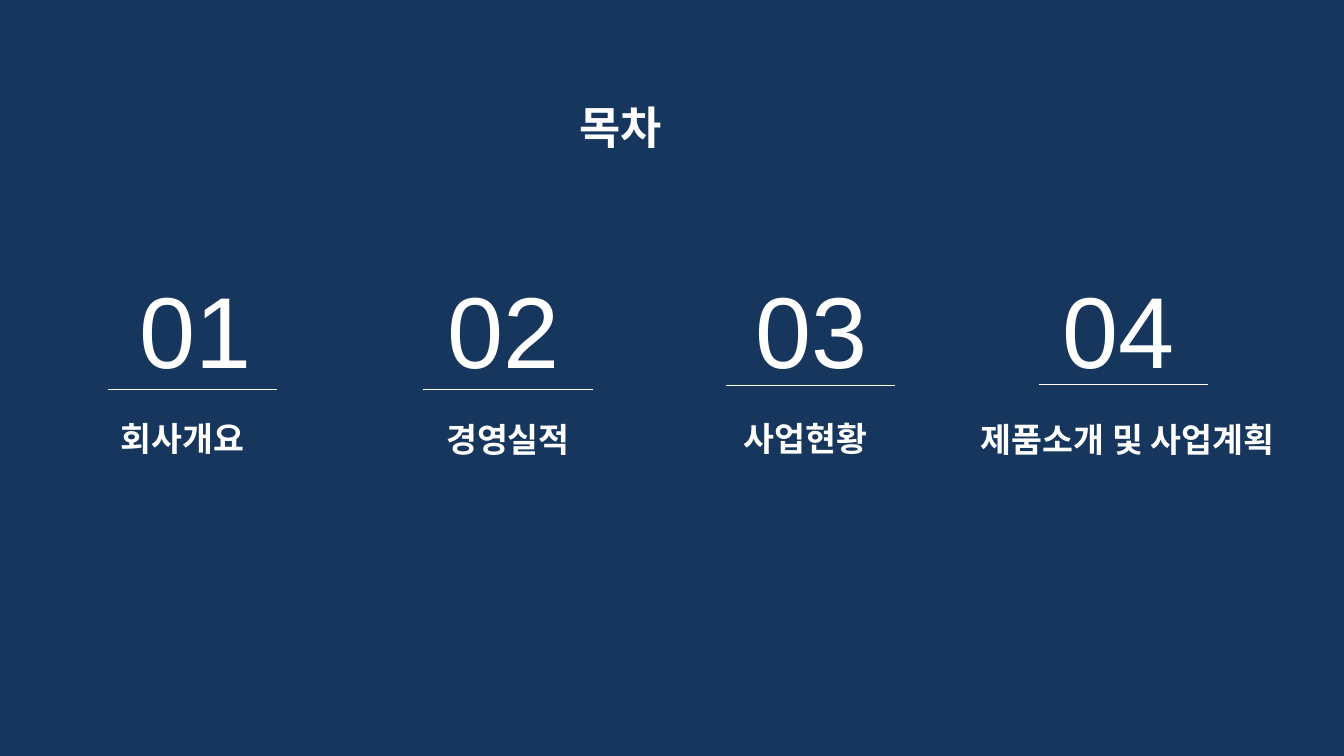
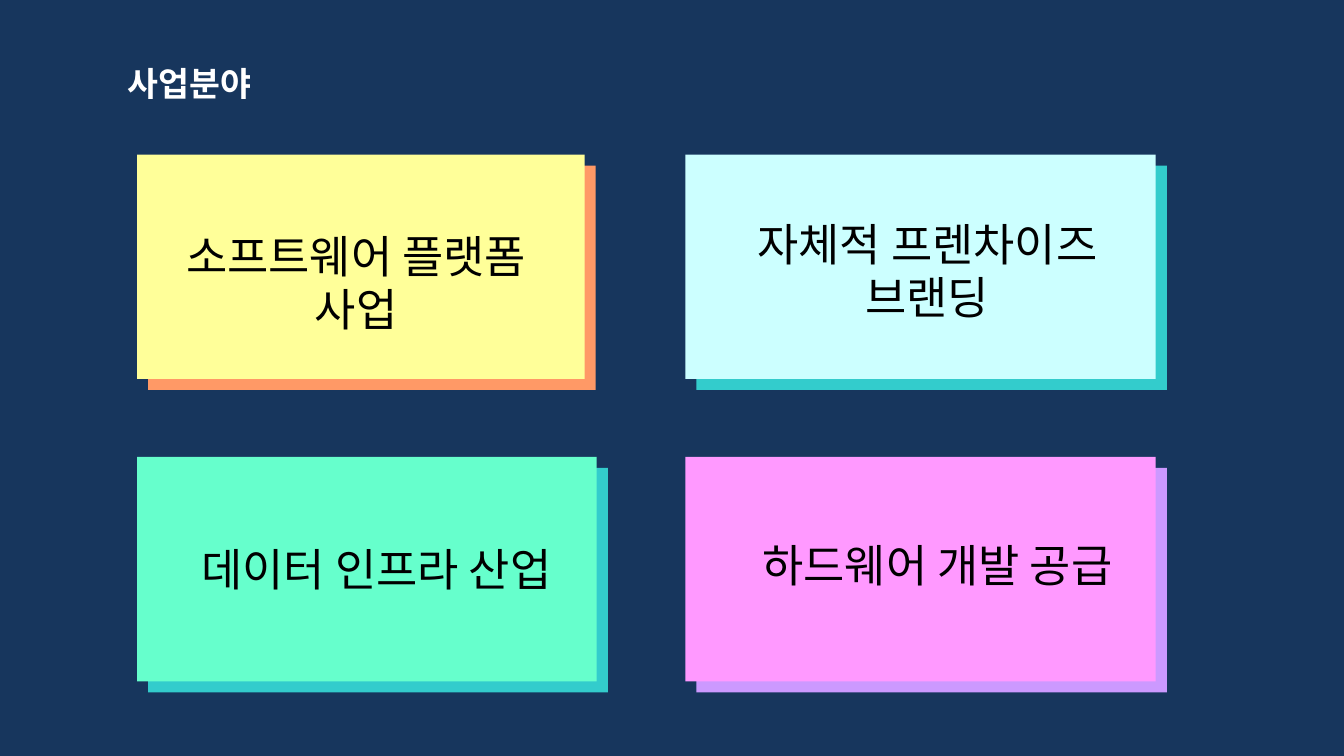
from dataclasses import dataclass

from lxml import etree
from pptx import Presentation
from pptx import util as u
from pptx.dml.color import RGBColor
from pptx.enum import shapes, text
from pptx.oxml import ns

NAVY = RGBColor(0x17, 0x36, 0x5D)
WHITE = RGBColor(0xFF, 0xFF, 0xFF)
BLACK = RGBColor(0x00, 0x00, 0x00)
YELLOW = RGBColor(0xFF, 0xFF, 0x99)
ORANGE = RGBColor(0xFF, 0x99, 0x66)
ICE = RGBColor(0xCC, 0xFF, 0xFF)
TEAL = RGBColor(0x33, 0xCC, 0xCC)
MINT = RGBColor(0x66, 0xFF, 0xCC)
PINK = RGBColor(0xFF, 0x99, 0xFF)
LILAC = RGBColor(0xCC, 0x99, 0xFF)

KOREAN = "Noto Sans CJK KR"
LATIN = "Arial"
LEFT = text.PP_ALIGN.LEFT
CENTER = text.PP_ALIGN.CENTER

SLIDE_WIDTH = u.Inches(10)
SLIDE_HEIGHT = SLIDE_WIDTH * 9 // 16
NUMBER_PITCH = 2.29
RULE_WIDTH = 1.26
CARD_HEIGHT = 1.67
COLUMNS = (1.02, 5.1)
ROWS = (1.15, 3.4)


@dataclass(frozen=True)
class Area:
    left: float
    top: float
    width: float
    height: float

    def lengths(self) -> list[u.Length]:
        return [u.Inches(n) for n in (self.left, self.top, self.width, self.height)]


@dataclass(frozen=True)
class Style:
    size: float
    color: RGBColor = WHITE
    bold: bool = False
    font: str = KOREAN
    grow: bool = True


@dataclass(frozen=True)
class Chapter:
    label: str
    area: Area
    rule_left: float
    rule_top: float
    align: text.PP_ALIGN = CENTER


@dataclass(frozen=True)
class Card:
    label: str
    column: int
    row: int
    width: float
    fill: RGBColor
    shade: RGBColor
    label_area: Area


TITLE = Style(24, bold=True)
HEADING = Style(18, bold=True)
NUMBER = Style(54, font=LATIN)
CARD_LABEL = Style(24, BLACK, grow=False)

CHAPTERS = (
    Chapter("회사개요", Area(0.8, 3.06, 2.38, 0.4), 0.8, 2.9, LEFT),
    Chapter("경영실적", Area(2.55, 3.07, 2.46, 0.4), 3.15, 2.9),
    Chapter("사업현황", Area(4.76, 3.06, 2.47, 0.4), 5.4, 2.87),
    Chapter("제품소개 및 사업계획", Area(6.97, 3.07, 2.84, 0.4), 7.73, 2.86),
)

CARDS = (
    Card("소프트웨어 플랫폼 사업", 0, 0, 3.33, YELLOW, ORANGE, Area(1.1, 1.65, 3.1, 0.92)),
    Card("자체적 프렌차이즈 브랜딩", 1, 0, 3.5, ICE, TEAL, Area(5.15, 1.56, 3.5, 0.9)),
    Card("데이터 인프라 산업", 0, 1, 3.42, MINT, TEAL, Area(1.19, 3.98, 3.22, 0.53)),
    Card("하드웨어 개발 공급", 1, 1, 3.5, PINK, LILAC, Area(5.36, 3.95, 3.23, 0.61)),
)


def add_page(deck):
    """Add a blank page with the shared navy background."""
    page = deck.slides.add_slide(deck.slide_layouts[6])
    page.background.fill.solid()
    page.background.fill.fore_color.rgb = NAVY
    return page


def add_text(page, words: str, area: Area, style: Style,
             align: text.PP_ALIGN = LEFT, indent: float = 0):
    """Write one styled paragraph in a text box and return it."""
    frame = page.shapes.add_textbox(*area.lengths()).text_frame
    frame.word_wrap = True
    if style.grow:
        frame.auto_size = text.MSO_AUTO_SIZE.SHAPE_TO_FIT_TEXT
    frame.text = words
    paragraph = frame.paragraphs[0]
    paragraph.alignment = align
    if indent:
        paragraph._p.get_or_add_pPr().set("marL", str(u.Inches(indent)))
    span = paragraph.runs[0]
    span.font.size = u.Pt(style.size)
    span.font.bold = style.bold
    span.font.color.rgb = style.color
    span.font.name = style.font
    east_asian = etree.SubElement(span._r.get_or_add_rPr(), ns.qn("a:ea"))
    east_asian.set("typeface", style.font)
    return paragraph


def add_numbers(page) -> None:
    """Write the chapter numbers in one line on evenly spaced tab stops."""
    numbers = "\t".join(f"{index:02}" for index in range(1, len(CHAPTERS) + 1))
    paragraph = add_text(page, numbers, Area(0.94, 1.94, 8.87, 1.01), NUMBER)
    stops = etree.SubElement(paragraph._p.get_or_add_pPr(), ns.qn("a:tabLst"))
    for index in range(1, len(CHAPTERS)):
        position = str(u.Inches(index * NUMBER_PITCH))
        etree.SubElement(stops, ns.qn("a:tab"), pos=position, algn="l")


def add_rule(page, left: float, top: float) -> None:
    """Draw the thin white rule under a chapter number."""
    rule = page.shapes.add_connector(
        shapes.MSO_CONNECTOR.STRAIGHT, u.Inches(left), u.Inches(top),
        u.Inches(left + RULE_WIDTH), u.Inches(top))
    rule.line.color.rgb = WHITE
    rule.line.width = u.Pt(0.75)
    etree.SubElement(rule._element.spPr, ns.qn("a:effectLst"))


def add_card(page, card: Card) -> None:
    """Draw a coloured card with a hard offset shadow and its label."""
    area = Area(COLUMNS[card.column], ROWS[card.row], card.width, CARD_HEIGHT)
    box = page.shapes.add_shape(shapes.MSO_SHAPE.RECTANGLE, *area.lengths())
    box.fill.solid()
    box.fill.fore_color.rgb = card.fill
    box.line.fill.background()
    box.shadow.inherit = False
    effects = box._element.spPr.find(ns.qn("a:effectLst"))
    shadow = etree.SubElement(
        effects, ns.qn("a:outerShdw"), blurRad="0", dist=str(u.Pt(8.4)),
        dir=str(45 * 60000), algn="tl", rotWithShape="0")
    etree.SubElement(shadow, ns.qn("a:srgbClr"), val=str(card.shade))
    add_text(page, card.label, card.label_area, CARD_LABEL, CENTER)


def build_contents(deck) -> None:
    """Build the table of contents."""
    page = add_page(deck)
    add_text(page, "목차", Area(2.72, 0.69, 4.57, 0.5), TITLE, indent=1.49)
    add_numbers(page)
    for chapter in CHAPTERS:
        add_rule(page, chapter.rule_left, chapter.rule_top)
        add_text(page, chapter.label, chapter.area, HEADING, chapter.align)


def build_business_fields(deck) -> None:
    """Build the four business field cards."""
    page = add_page(deck)
    add_text(page, "사업분야", Area(0.18, 0.42, 2.46, 0.4), HEADING, CENTER)
    for card in CARDS:
        add_card(page, card)


def main() -> None:
    """Build and save the deck."""
    deck = Presentation()
    deck.slide_width = SLIDE_WIDTH
    deck.slide_height = SLIDE_HEIGHT
    build_contents(deck)
    build_business_fields(deck)
    deck.save("out.pptx")


if __name__ == "__main__":
    main()
